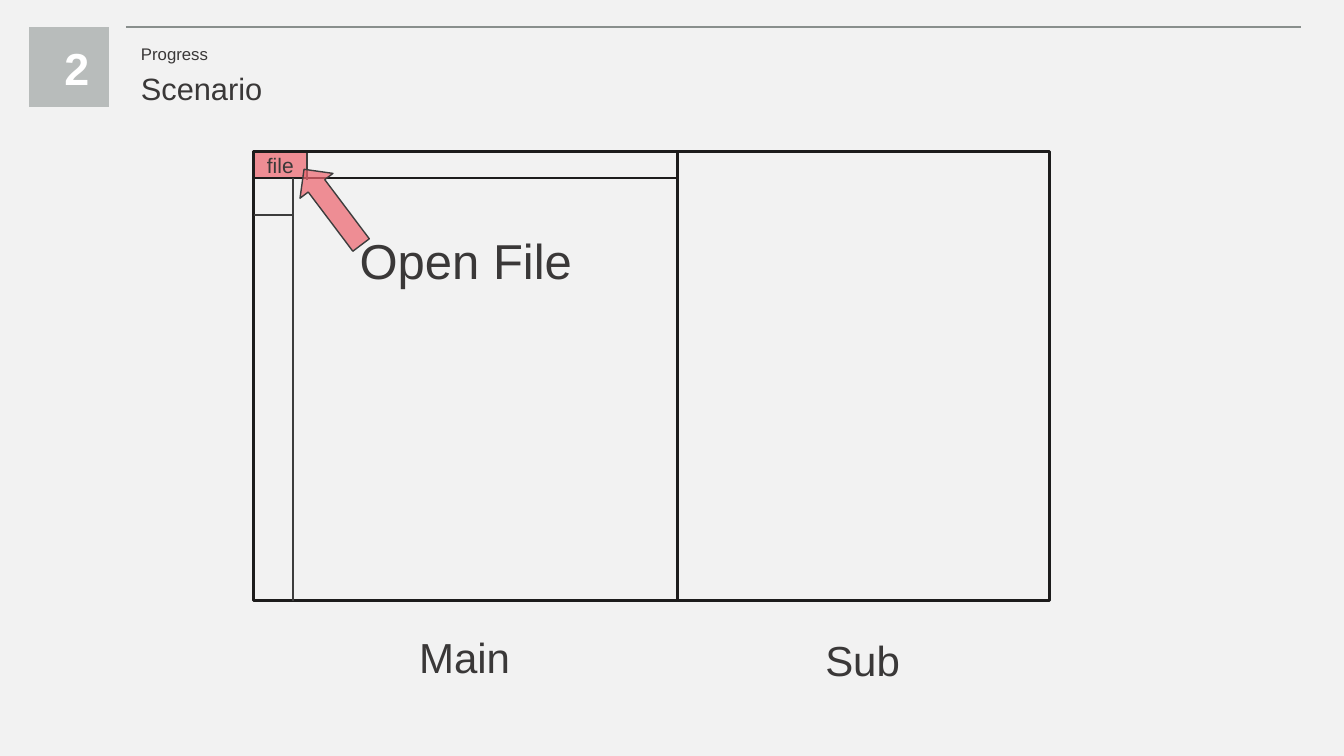
from lxml import etree
from pptx import Presentation
from pptx.dml.color import RGBColor
from pptx.enum.shapes import MSO_CONNECTOR, MSO_SHAPE
from pptx.enum.text import MSO_AUTO_SIZE, PP_ALIGN
from pptx.oxml.ns import qn
from pptx.util import Pt

RECTANGLE = MSO_SHAPE.RECTANGLE
RIGHT_ARROW = MSO_SHAPE.RIGHT_ARROW
STRAIGHT = MSO_CONNECTOR.STRAIGHT
FIT_TEXT = MSO_AUTO_SIZE.SHAPE_TO_FIT_TEXT
LEFT = PP_ALIGN.LEFT
CENTER = PP_ALIGN.CENTER

BACKGROUND = "F2F2F2"
TEXT = "3A3838"
FRAME = "1D1C1C"
DIVIDER = "3D3D3D"
HIGHLIGHT = "ED636D"
BADGE = "B8BCBB"
RULE = "898F8D"
WHITE = "FFFFFF"


def color(value):
    """Turn a hex string into a colour."""
    return RGBColor.from_string(value)


def add_box(slide, kind, box, fill=None, opacity=100, line=None, weight=1):
    """Add a preset shape with optional fill, opacity and outline."""
    shape = slide.shapes.add_shape(kind, *map(Pt, box))
    shape.shadow.inherit = False
    if fill:
        shape.fill.solid()
        shape.fill.fore_color.rgb = color(fill)
        if opacity < 100:
            fill_color = shape.fill._xPr.find(qn("a:solidFill"))[0]
            etree.SubElement(fill_color, qn("a:alpha"), val=str(opacity * 1000))
    else:
        shape.fill.background()
    if line:
        shape.line.color.rgb = color(line)
        shape.line.width = Pt(weight)
    else:
        shape.line.fill.background()
    return shape


def add_line(slide, start, end, line=DIVIDER):
    """Add a straight line between two points."""
    connector = slide.shapes.add_connector(STRAIGHT, *map(Pt, (*start, *end)))
    connector.line.color.rgb = color(line)
    connector.line.width = Pt(1.5)
    etree.SubElement(connector._element.spPr, qn("a:effectLst"))


def add_text(slide, box, text, size, fill=TEXT, bold=False, align=LEFT, wrap=False):
    """Add a one-line text box."""
    text_frame = slide.shapes.add_textbox(*map(Pt, box)).text_frame
    text_frame.word_wrap = wrap
    text_frame.auto_size = FIT_TEXT
    text_frame.text = text
    paragraph = text_frame.paragraphs[0]
    paragraph.alignment = align
    font = paragraph.runs[0].font
    font.name = "Arial"
    font.size = Pt(size)
    font.bold = bold
    font.color.rgb = color(fill)


def add_header(slide, left, top, right):
    """Draw the numbered badge, the rule and the two title lines."""
    add_line(slide, (left + 69.1, top), (right, top), RULE)
    add_box(slide, RECTANGLE, (left, top, 56.9, 56.9), BADGE)
    add_text(slide, (left + 18, top + 5.8, 20.2, 46), "2", 32, WHITE, True, CENTER, True)
    add_text(slide, (left + 72.7, top + 8, 62.6, 21.6), "Progress", 12)
    add_text(slide, (left + 72.7, top + 26.7, 102.2, 33.8), "Scenario", 22)


def add_main_window(slide, left, top, width, height):
    """Draw the main window with its file menu, side bar and pointer."""
    right, bottom = left + width, top + height
    menu_bottom, menu_right, bar_right = top + 19.4, left + 38.2, left + 28.1
    add_box(slide, RECTANGLE, (left, top, 38.2, 19.4), HIGHLIGHT, 70)
    add_box(slide, RECTANGLE, (left, top, width, height), line=FRAME, weight=2.25)
    add_line(slide, (left, menu_bottom), (right, menu_bottom), FRAME)
    add_line(slide, (bar_right, menu_bottom), (bar_right, bottom))
    add_line(slide, (menu_right, top + 1.4), (menu_right, top + 20.8))
    add_line(slide, (left, top + 45.4), (bar_right, top + 45.4))
    add_text(slide, (left + 2.2, top - 2.9, 33.8, 25.2), "file", 15)
    arrow = add_box(slide, RIGHT_ARROW, (left + 22.3, top + 25.2, 67.7, 29.5),
                    HIGHLIGHT, 70, DIVIDER, 1)
    arrow.rotation = 233
    add_text(slide, (left + 68.4, top + 53.3, 167.8, 49.7), "Open File", 35)
    add_text(slide, (left + 110.9, bottom + 18.7, 81.4, 43.9), "Main", 30)


def add_sub_window(slide, left, top, width, height):
    """Draw the empty sub window and its caption."""
    add_box(slide, RECTANGLE, (left, top, width, height), line=FRAME, weight=2.25)
    add_text(slide, (left + 98.6, top + height + 20.9, 68.4, 43.9), "Sub", 30)


def main():
    """Build and save the slide."""
    presentation = Presentation()
    presentation.slide_width, presentation.slide_height = Pt(960), Pt(540)
    slide = presentation.slides.add_slide(presentation.slide_layouts[6])
    slide.background.fill.solid()
    slide.background.fill.fore_color.rgb = color(BACKGROUND)
    left, top, main_width, sub_width, height = 181.4, 108, 302.4, 265.7, 321.1
    add_main_window(slide, left, top, main_width, height)
    add_sub_window(slide, left + main_width, top, sub_width, height)
    add_header(slide, 20.9, 19.4, 929.5)
    presentation.save("out.pptx")


if __name__ == "__main__":
    main()
